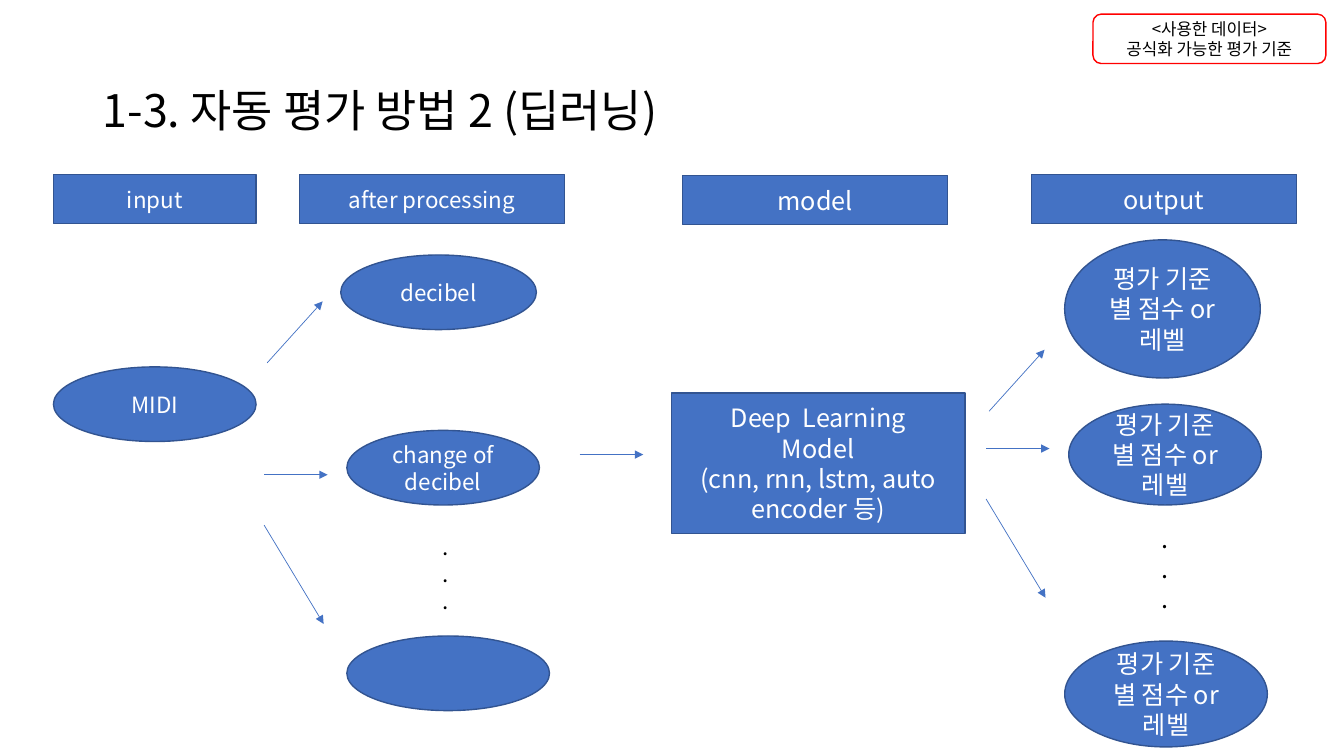
"""Builds the slide on automatic evaluation with deep learning."""
from lxml import etree
from pptx import Presentation
from pptx.dml.color import RGBColor
from pptx.enum.shapes import MSO_CONNECTOR, MSO_SHAPE
from pptx.enum.text import MSO_ANCHOR, PP_ALIGN
from pptx.oxml.ns import qn
from pptx.util import Inches, Pt

RECTANGLE = MSO_SHAPE.RECTANGLE
ROUNDED = MSO_SHAPE.ROUNDED_RECTANGLE
OVAL = MSO_SHAPE.OVAL
STRAIGHT = MSO_CONNECTOR.STRAIGHT
MIDDLE, TOP = MSO_ANCHOR.MIDDLE, MSO_ANCHOR.TOP
CENTER, LEFT = PP_ALIGN.CENTER, PP_ALIGN.LEFT

BLUE = RGBColor(0x44, 0x72, 0xC4)
DARK_BLUE = RGBColor(0x32, 0x54, 0x91)
RED = RGBColor(0xFF, 0x00, 0x00)
BLACK = RGBColor(0x00, 0x00, 0x00)
WHITE = RGBColor(0xFF, 0xFF, 0xFF)
FONT = "Noto Sans CJK KR"

HEADER_HEIGHT = 0.49
OVAL_HEIGHT = 0.74
SCORE = "평가 기준 별 점수 or 레벨"


def write_text(shape, lines, size, color, alignment=CENTER, anchor=MIDDLE, spacing=1.0, wrap=True):
    """Fill a shape with one paragraph per line."""
    frame = shape.text_frame
    frame_format = {"word_wrap": wrap, "vertical_anchor": anchor}
    for name, value in frame_format.items():
        setattr(frame, name, value)
    for index, line in enumerate(lines):
        paragraph = frame.add_paragraph() if index else frame.paragraphs[0]
        paragraph_format = {"alignment": alignment, "line_spacing": spacing}
        for name, value in paragraph_format.items():
            setattr(paragraph, name, value)
        run = paragraph.add_run()
        run.text = line
        font_format = {"size": Pt(size), "name": FONT}
        for name, value in font_format.items():
            setattr(run.font, name, value)
        run.font.color.rgb = color
        etree.SubElement(run.font._element, qn("a:ea"), typeface=FONT)


def add_node(slide, kind, box, lines, size, fill=BLUE, line=DARK_BLUE, color=WHITE):
    """Add an outlined shape with centred text."""
    shape = slide.shapes.add_shape(kind, *map(Inches, box))
    shape.shadow.inherit = False
    if fill is None:
        shape.fill.background()
    else:
        shape.fill.solid()
        shape.fill.fore_color.rgb = fill
    shape.line.color.rgb = line
    shape.line.width = Pt(1)
    write_text(shape, lines, size, color)


def add_label(slide, box, lines, size, **text_format):
    """Add a left-aligned black text box."""
    text_box = slide.shapes.add_textbox(*map(Inches, box))
    write_text(text_box, lines, size, BLACK, LEFT, **text_format)


def add_arrow(slide, left, top, across, down):
    """Add a thin arrow from a point by the given offsets."""
    ends = (left, top, left + across, top + down)
    arrow = slide.shapes.add_connector(STRAIGHT, *map(Inches, ends))
    arrow.line.color.rgb = BLUE
    arrow.line.width = Pt(0.5)
    etree.SubElement(arrow.line._get_or_add_ln(), qn("a:tailEnd"), type="triangle")
    etree.SubElement(arrow._element.spPr, qn("a:effectLst"))


def add_fan(slide, left, middle, rise):
    """Add three arrows spreading from a column's right side."""
    add_arrow(slide, left + 0.03, middle - rise, 0.55, -0.61)
    add_arrow(slide, left, middle, 0.63, 0)
    add_arrow(slide, left, middle + 0.5, 0.59, 0.98)


def add_heading(slide, left, top, width, height):
    """Add the slide title."""
    add_label(slide, (left, top, width, height), ["1-3. 자동 평가 방법 2 (딥러닝)"], 32,
              anchor=MIDDLE, spacing=0.9)


def add_data_note(slide, left, top, width, height):
    """Add the red-framed note on the data used."""
    add_node(slide, ROUNDED, (left, top, width, height),
             ["<사용한 데이터>", "공식화 가능한 평가 기준"], 12, None, RED, BLACK)


def add_input_column(slide, left, top, width):
    """Add the input header and its source."""
    add_node(slide, RECTANGLE, (left, top, width, HEADER_HEIGHT), ["input"], 16)
    add_node(slide, OVAL, (left, top + 1.91, width, OVAL_HEIGHT), ["MIDI"], 16)


def add_processing_column(slide, left, top, width):
    """Add the processing header and the extracted features."""
    add_node(slide, RECTANGLE, (left, top, width, HEADER_HEIGHT), ["after processing"], 16)
    features = [
        (0.41, 0.8, 1.94, ["decibel"]),
        (0.47, 2.54, 1.91, ["change of decibel"]),
        (0.47, 4.58, 2.01, []),
    ]
    for across, down, oval_width, lines in features:
        add_node(slide, OVAL, (left + across, top + down, oval_width, OVAL_HEIGHT), lines, 16)
    add_label(slide, (left + 1.32, top + 3.51, 0.26, 0.94), ["."] * 3, 16, anchor=TOP)


def add_model_column(slide, left, top, width):
    """Add the model header and the model itself."""
    add_node(slide, RECTANGLE, (left, top, width, HEADER_HEIGHT), ["model"], 18)
    add_node(slide, RECTANGLE, (left - 0.11, top + 2.16, width + 0.28, 1.39),
             ["Deep  Learning", "Model", "(cnn, rnn, lstm, auto encoder 등)"], 18)


def add_output_column(slide, left, top, width):
    """Add the output header and the scores."""
    add_node(slide, RECTANGLE, (left, top, width, HEADER_HEIGHT), ["output"], 18)
    scores = [(0.33, 0.65, 1.94, 1.37), (0.37, 2.28, 1.91, 1.0), (0.33, 4.63, 2.01, 1.05)]
    for across, down, oval_width, height in scores:
        add_node(slide, OVAL, (left + across, top + down, oval_width, height), [SCORE], 18)
    add_label(slide, (left + 1.19, top + 3.41, 0.26, 1.01), ["."] * 3, 18, anchor=TOP, wrap=False)


def main():
    """Build and save the presentation."""
    presentation = Presentation()
    slide_size = {"slide_width": Inches(13.33), "slide_height": Inches(7.5)}
    for name, value in slide_size.items():
        setattr(presentation, name, value)
    slide = presentation.slides.add_slide(presentation.slide_layouts[6])
    add_heading(slide, 0.92, 0.4, 11.5, 1.45)
    add_input_column(slide, 0.53, 1.73, 2.01)
    add_fan(slide, 2.62, 4.71, 1.11)
    add_processing_column(slide, 2.97, 1.73, 2.63)
    add_arrow(slide, 5.75, 4.51, 0.63, 0)
    add_model_column(slide, 6.77, 1.74, 2.63)
    add_fan(slide, 9.78, 4.45, 0.37)
    add_output_column(slide, 10.23, 1.73, 2.63)
    add_data_note(slide, 10.84, 0.14, 2.31, 0.49)
    presentation.save("out.pptx")


if __name__ == "__main__":
    main()
